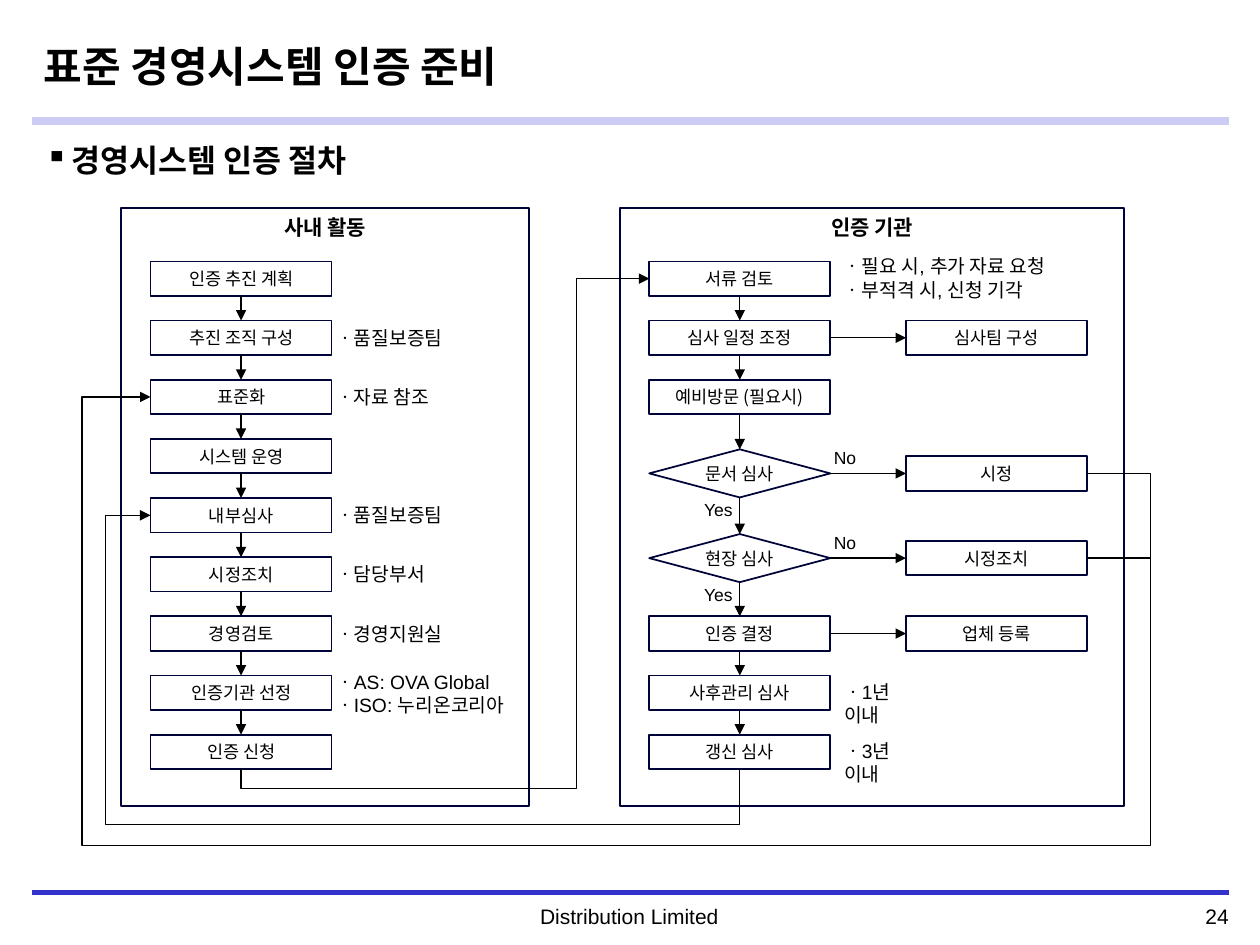
"""Build the slide on preparing for management system certification."""
from dataclasses import dataclass

from lxml import etree
from pptx import Presentation
from pptx.dml.color import RGBColor
from pptx.enum.shapes import MSO_CONNECTOR, MSO_SHAPE
from pptx.enum.text import MSO_ANCHOR, PP_ALIGN
from pptx.oxml.ns import qn
from pptx.util import Pt

RECT, GEM = MSO_SHAPE.RECTANGLE, MSO_SHAPE.FLOWCHART_DECISION
STRAIGHT, ELBOW = MSO_CONNECTOR.STRAIGHT, MSO_CONNECTOR.ELBOW
LEFT, MID, RIGHT = PP_ALIGN.LEFT, PP_ALIGN.CENTER, PP_ALIGN.RIGHT
TOP, CENTER = MSO_ANCHOR.TOP, MSO_ANCHOR.MIDDLE
HEX = {"ink": "000000", "edge": "000338", "band": "CCCCF4", "foot": "3333CC"}
LATIN, HANGUL = "Arial", "Noto Sans CJK KR"

WIDE, HIGH, GEM_HIGH = 103.5, 19.7, 27.5
FIRST, PITCH = 149.4, 33.8
HOME, BODY, SIDE = 86, 371, 517.7
RAIL = 657.4


@dataclass
class Step:
    text: str
    left: float
    top: float
    high: float = HIGH
    kind: int = RECT


@dataclass
class Note:
    text: str
    left: float
    top: float
    width: float
    high: float = 21
    size: float = 11
    bold: bool = False
    align: int = LEFT
    anchor: int = TOP
    wrap: bool = False


@dataclass
class Bend:
    start: object
    out: int
    goal: object
    stops: tuple
    turned: bool


def row(i: int) -> float:
    """Give the top of a row."""
    return FIRST + PITCH * i


def write(shape, text, size, font, bold=False, align=MID, anchor=CENTER, wrap=False):
    """Fill a shape with styled lines of text."""
    frame = shape.text_frame
    for key, val in {"word_wrap": wrap, "vertical_anchor": anchor}.items():
        setattr(frame, key, val)
    for i, words in enumerate(text.split("\n")):
        para = frame.add_paragraph() if i else frame.paragraphs[0]
        para.alignment = align
        run = para.add_run()
        run.text = words
        for key, val in {"size": Pt(size), "name": font, "bold": bold}.items():
            setattr(run.font, key, val)
        run.font.color.rgb = RGBColor.from_string(HEX["ink"])
        etree.SubElement(run.font._element, qn("a:ea"), typeface=HANGUL)
    return frame


def outline(slide, kind, left, top, width, high):
    """Add an empty shape with a dark edge."""
    shape = slide.shapes.add_shape(kind, Pt(left), Pt(top), Pt(width), Pt(high))
    shape.shadow.inherit = False
    shape.fill.background()
    shape.line.color.rgb = RGBColor.from_string(HEX["edge"])
    shape.line.width = Pt(1)
    return shape


def draw_step(slide, step: Step):
    """Add one step of the flow."""
    shape = outline(slide, step.kind, step.left, step.top, WIDE, step.high)
    write(shape, step.text, 10, HANGUL)
    return shape


def draw_note(slide, note: Note):
    """Add free text and return its frame."""
    box = slide.shapes.add_textbox(Pt(note.left), Pt(note.top), Pt(note.width), Pt(note.high))
    return write(box, note.text, note.size, LATIN, note.bold, note.align, note.anchor, note.wrap)


def style(line, tone="ink", width=0.75, arrow=True):
    """Set the stroke of a line and its arrow."""
    line.line.color.rgb = RGBColor.from_string(HEX[tone])
    line.line.width = Pt(width)
    props = line._element.spPr
    if arrow:
        etree.SubElement(props.find(qn("a:ln")), qn("a:tailEnd"), type="triangle")
    etree.SubElement(props, qn("a:effectLst"))


def rule(slide, y: float, tone: str, width: float):
    """Add a rule across the page."""
    line = slide.shapes.add_connector(STRAIGHT, Pt(18), Pt(y), Pt(702), Pt(y))
    style(line, tone, width, False)


def link(slide, start, out: int, goal, into: int, kind=STRAIGHT):
    """Join two steps with an arrow."""
    line = slide.shapes.add_connector(kind, 0, 0, 0, 0)
    line.begin_connect(start, out)
    line.end_connect(goal, into)
    style(line)
    return line


def draw_bend(slide, bend: Bend):
    """Route an elbow arrow through its stops."""
    line = link(slide, bend.start, bend.out, bend.goal, 1, ELBOW)
    start, goal = (line.begin_x, line.begin_y), (line.end_x, line.end_y)
    dx, dy = goal[0] - start[0], goal[1] - start[1]
    width, high = (abs(dy), abs(dx)) if bend.turned else (abs(dx), abs(dy))
    flips = (dy < 0, dx > 0) if bend.turned else (dx < 0, dy < 0)
    place = {"left": (start[0] + goal[0] - width) // 2,
             "top": (start[1] + goal[1] - high) // 2,
             "width": width, "height": high}
    for key, val in place.items():
        setattr(line, key, val)
    props = line._element.spPr
    frame = props.find(qn("a:xfrm"))
    marks = {"rot": 5400000 * bend.turned, "flipH": int(flips[0]), "flipV": int(flips[1])}
    for key, val in marks.items():
        frame.set(key, str(val))
    shape = props.find(qn("a:prstGeom"))
    shape.set("prst", f"bentConnector{len(bend.stops) + 2}")
    guides = shape.find(qn("a:avLst"))
    for i, stop in enumerate(bend.stops):
        axis = (i + bend.turned) % 2
        part = (Pt(stop) - start[axis]) / (goal[axis] - start[axis])
        etree.SubElement(guides, qn("a:gd"), name=f"adj{i + 1}", fmla=f"val {round(part * 100000)}")


def main():
    """Build and save the slide."""
    deck = Presentation()
    deck.slide_width, deck.slide_height = Pt(720), Pt(540)
    slide = deck.slides.add_slide(deck.slide_layouts[6])
    for y, tone, width in ((510.5, "foot", 2), (509.8, "foot", 2), (69, "band", 4.5)):
        rule(slide, y, tone, width)

    draw_note(slide, Note("표준 경영시스템 인증 준비", 18, 10, 684, 55.5, 24, True, anchor=CENTER, wrap=True))
    head = draw_note(slide, Note("경영시스템 인증 절차", 18.7, 77, 682, 40, 18, True, wrap=True))
    props = head.paragraphs[0]._p.get_or_add_pPr()
    for key, val in {"marL": Pt(15), "indent": -Pt(15)}.items():
        props.set(key, str(val))
    etree.SubElement(props, qn("a:buChar"), char="▪")

    for text, left, width in (("사내 활동", 69.3, 233), ("인증 기관", 354.2, 288.3)):
        frame = outline(slide, RECT, left, 119, width, 341.5)
        write(frame, text, 12, HANGUL, True, anchor=TOP)

    names = ("인증 추진 계획", "추진 조직 구성", "표준화", "시스템 운영", "내부심사",
             "시정조치", "경영검토", "인증기관 선정", "인증 신청")
    home = [draw_step(slide, Step(text, HOME, row(i))) for i, text in enumerate(names)]
    stages = [Step(text, BODY, row(i)) for text, i in (
        ("서류 검토", 0), ("심사 일정 조정", 1), ("예비방문 (필요시)", 2),
        ("인증 결정", 6), ("사후관리 심사", 7), ("갱신 심사", 8))]
    stages[3:3] = [Step("문서 심사", BODY, 256.8, GEM_HIGH, GEM),
                   Step("현장 심사", BODY, 305.2, GEM_HIGH, GEM)]
    body = [draw_step(slide, stage) for stage in stages]
    for chain in (home, body):
        for start, goal in zip(chain, chain[1:]):
            link(slide, start, 2, goal, 0)

    side = {}
    for i, text in ((1, "심사팀 구성"), (3, "시정"), (4, "시정조치"), (5, "업체 등록")):
        top = stages[i].top + (stages[i].high - HIGH) / 2
        side[i] = draw_step(slide, Step(text, SIDE, top))
        link(slide, body[i], 3, side[i], 1)

    for bend in (Bend(home[8], 2, body[0], (450.5, 329.3), True),
                 Bend(body[7], 2, home[4], (471.3, 60.3), True),
                 Bend(side[3], 3, home[2], (RAIL, 483.2, 46.7), False)):
        draw_bend(slide, bend)
    y = side[4].top + side[4].height // 2
    line = slide.shapes.add_connector(STRAIGHT, Pt(SIDE + WIDE), y, Pt(RAIL), y)
    line.begin_connect(side[4], 3)
    style(line, arrow=False)

    for text, i, width in (("ㆍ품질보증팀", 1, 84), ("ㆍ자료 참조", 2, 76), ("ㆍ품질보증팀", 4, 81),
                           ("ㆍ담당부서", 5, 70), ("ㆍ경영지원실", 6, 81)):
        draw_note(slide, Note(text, 185, row(i) - 0.4, width))
    draw_note(slide, Note("ㆍAS: OVA Global\nㆍISO: 누리온코리아", 185, 379.5, 117.4, 34))
    draw_note(slide, Note("ㆍ필요 시, 추가 자료 요청\nㆍ부적격 시, 신청 기각", 475.2, 142, 141, 34))
    for text, i in (("ㆍ1년 이내", 7), ("ㆍ3년 이내", 8)):
        draw_note(slide, Note(text, 475.2, row(i) - 0.8, 60, wrap=True))
    for y in (252, 300.4):
        draw_note(slide, Note("No", 469.4, y, 27.4, 19.4, 10))
        draw_note(slide, Note("Yes", 395.3, y + 29.9, 31.7, 19.4, 10))
    draw_note(slide, Note("24", 592.6, 512.6, 116.6, 21.6, 12, align=RIGHT, wrap=True))
    draw_note(slide, Note("Distribution Limited", 176.4, 512.6, 366.5, 21.6, 12, align=MID, wrap=True))
    deck.save("out.pptx")


if __name__ == "__main__":
    main()
